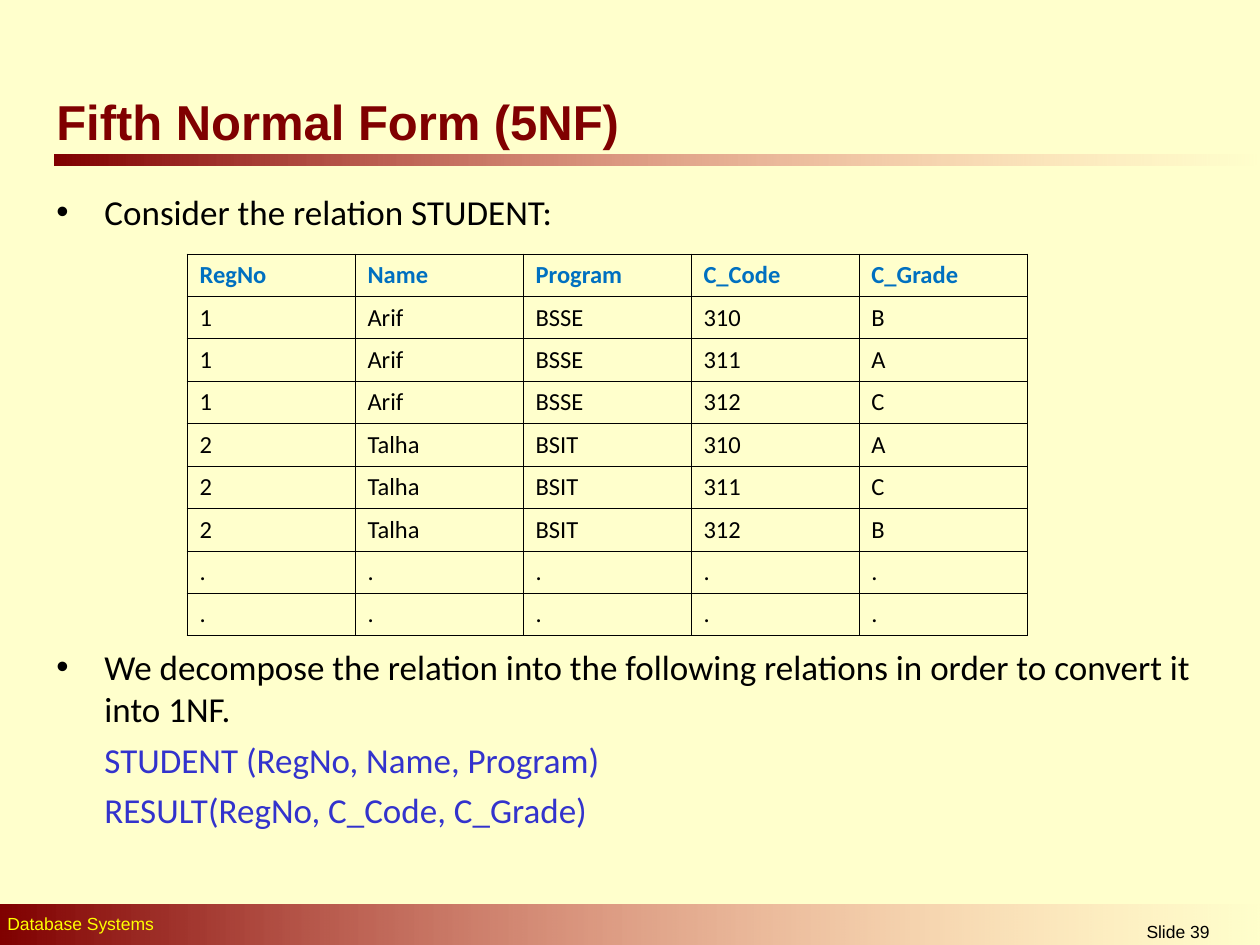
from lxml import etree
from pptx import Presentation, util as u
from pptx.dml.color import RGBColor
from pptx.enum import shapes, text
from pptx.oxml.ns import qn

PX = u.Inches(1) // 126
COLORS = {"background": "FFFFCC", "maroon": "800000", "fade": "FF8585",
          "black": "000000", "footer": "FFFF00", "relation": "3333CC",
          "header": "0070C0"}
STUDENT_ROWS = [
    ["RegNo", "Name", "Program", "C_Code", "C_Grade"],
    ["1", "Arif", "BSSE", "310", "B"],
    ["1", "Arif", "BSSE", "311", "A"],
    ["1", "Arif", "BSSE", "312", "C"],
    ["2", "Talha", "BSIT", "310", "A"],
    ["2", "Talha", "BSIT", "311", "C"],
    ["2", "Talha", "BSIT", "312", "B"],
    ["."] * 5,
    ["."] * 5,
]


def rgb(color):
    return RGBColor.from_string(COLORS[color])


def emu(box):
    return [value * PX for value in box]


def add_run(paragraph, words, size, color, font="Calibri", bold=False):
    run = paragraph.add_run()
    run.text = words
    run.font.size = u.Pt(size)
    run.font.name = font
    run.font.bold = bold
    run.font.color.rgb = rgb(color)


def add_text_frame(slide, box):
    frame = slide.shapes.add_textbox(*emu(box)).text_frame
    frame.word_wrap = True
    return frame


def add_fading_bar(slide, box):
    """Bar that runs from maroon on the left to fully transparent."""
    bar = slide.shapes.add_shape(shapes.MSO_SHAPE.RECTANGLE, *emu(box))
    bar.shadow.inherit = False
    bar.line.fill.background()
    bar.fill.gradient()
    bar.fill.gradient_angle = 0
    start, end = bar.fill.gradient_stops
    start.position, end.position = 0, 1
    start.color.rgb, end.color.rgb = rgb("maroon"), rgb("fade")
    end_color = bar._element.spPr.findall(".//" + qn("a:srgbClr"))[-1]
    etree.SubElement(end_color, qn("a:alpha"), val="0")


def add_title(slide, box):
    left, top, width, height = box
    add_fading_bar(slide, (left + 10, top + height, 1206, 11))
    frame = add_text_frame(slide, (left, top, 833, height))
    frame.vertical_anchor = text.MSO_ANCHOR.MIDDLE
    add_run(frame.paragraphs[0], "Fifth Normal Form (5NF)", 28, "maroon",
            "Arial", True)


def add_footer(slide, box):
    left, top, width, height = box
    add_fading_bar(slide, box)
    course = add_text_frame(slide, (left - 5, top + 2, 814, 34)).paragraphs[0]
    course.space_before = u.Pt(6.2)
    add_run(course, "Database Systems", 10, "footer", "Arial")
    number = add_text_frame(slide, (left + 1047, top + 10, 262, 30)).paragraphs[0]
    number.alignment = text.PP_ALIGN.CENTER
    add_run(number, "Slide 39", 10, "black", "Arial")


def indent(paragraph, bulleted):
    margin = 48 * PX
    properties = paragraph._p.get_or_add_pPr()
    properties.set("marL", str(margin))
    properties.set("indent", str(-margin if bulleted else 0))
    if bulleted:
        bullet_color = etree.SubElement(properties, qn("a:buClr"))
        etree.SubElement(bullet_color, qn("a:srgbClr"), val=COLORS["black"])
        etree.SubElement(properties, qn("a:buFont"), typeface="Arial")
        etree.SubElement(properties, qn("a:buChar"), char="•")
    else:
        etree.SubElement(properties, qn("a:buNone"))


def add_body(slide, box):
    """Bulleted text; the second bullet is spaced to clear the table."""
    frame = add_text_frame(slide, box)
    lines = [
        ("Consider the relation STUDENT:", 5, "black", True),
        ("We decompose the relation into the following relations in order "
         "to convert it into 1NF.", 236, "black", True),
        ("STUDENT (RegNo, Name, Program)", 5, "relation", False),
        ("RESULT(RegNo, C_Code, C_Grade)", 5, "relation", False),
    ]
    for index, (words, gap, color, bulleted) in enumerate(lines):
        paragraph = frame.add_paragraph() if index else frame.paragraphs[0]
        paragraph.space_before = u.Pt(gap)
        indent(paragraph, bulleted)
        add_run(paragraph, words, 20, color)


def add_cell_borders(cell):
    properties = cell._tc.get_or_add_tcPr()
    for index, side in enumerate(("lnL", "lnR", "lnT", "lnB")):
        border = etree.Element(qn("a:" + side), w=str(u.Pt(0.45)))
        fill = etree.SubElement(border, qn("a:solidFill"))
        etree.SubElement(fill, qn("a:srgbClr"), val=COLORS["black"])
        properties.insert(index, border)


def add_student_table(slide, box):
    row_count, column_count = len(STUDENT_ROWS), len(STUDENT_ROWS[0])
    table = slide.shapes.add_table(row_count, column_count, *emu(box)).table
    table.first_row = table.horz_banding = False
    for row, values in enumerate(STUDENT_ROWS):
        is_header = row == 0
        for column, value in enumerate(values):
            cell = table.cell(row, column)
            cell.fill.background()
            add_cell_borders(cell)
            add_run(cell.text_frame.paragraphs[0], value, 14,
                    "header" if is_header else "black", bold=is_header)


def main():
    deck = Presentation()
    deck.slide_width, deck.slide_height = 1260 * PX, 945 * PX
    slide = deck.slides.add_slide(deck.slide_layouts[6])
    slide.background.fill.solid()
    slide.background.fill.fore_color.rgb = rgb("background")
    add_title(slide, (44, 86, 1216, 69))
    add_footer(slide, (0, 905, 1264, 44))
    add_body(slide, (44, 184, 1171, 712))
    add_student_table(slide, (187, 254, 840, 382))
    deck.save("out.pptx")


if __name__ == "__main__":
    main()
